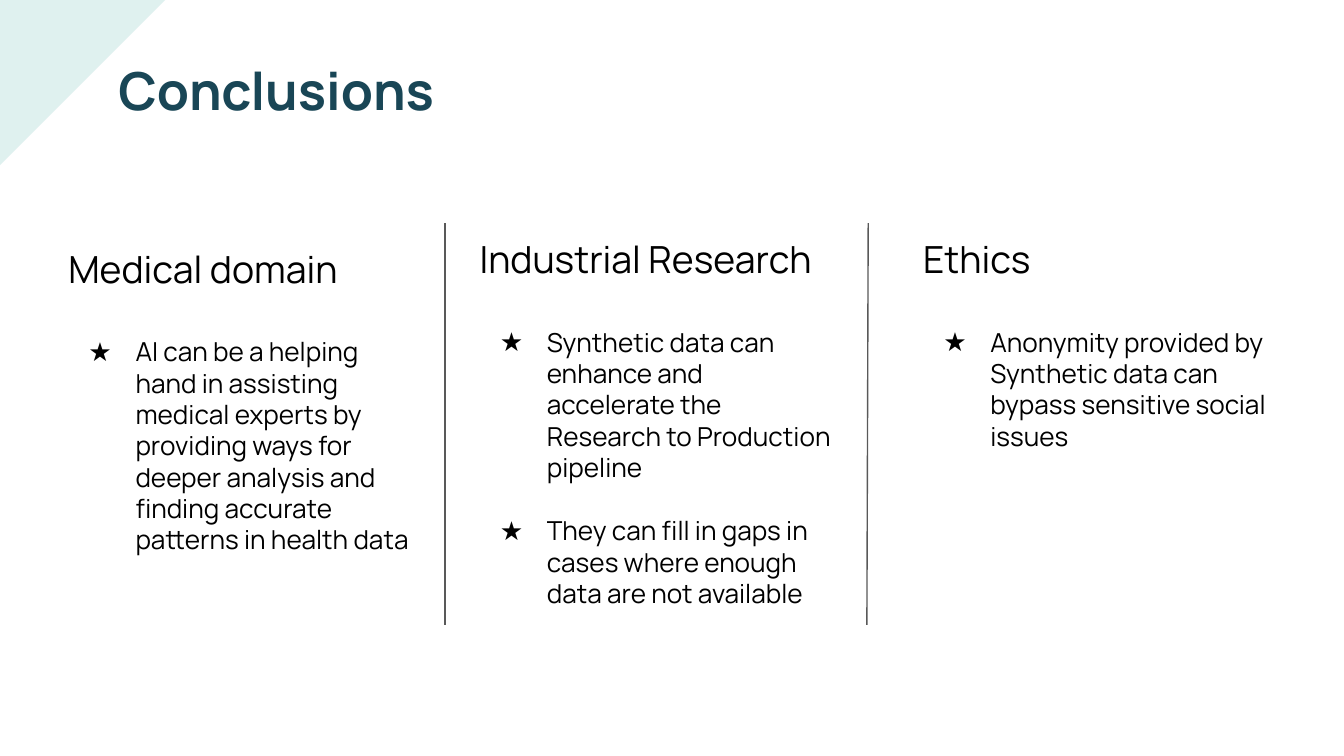
from lxml.etree import SubElement
from pptx import Presentation
from pptx.dml.color import RGBColor
from pptx.enum.shapes import MSO_CONNECTOR, MSO_SHAPE
from pptx.enum.text import MSO_ANCHOR, MSO_AUTO_SIZE, PP_ALIGN
from pptx.oxml.ns import qn
from pptx.util import Inches, Pt

FACE = "Manrope"
MINT = RGBColor(0xDF, 0xF1, 0xEF)
TEAL = RGBColor(0x19, 0x46, 0x56)
BLACK = RGBColor(0, 0, 0)
GRAY = RGBColor(0x59, 0x59, 0x59)

WIDTH = 2.82
COLUMNS = [
    (0.41, 1.73, 2.34, "Medical domain", [
        "AI can be a helping hand in assisting medical experts by providing "
        "ways for deeper analysis and finding accurate patterns in health data",
    ]),
    (3.47, 1.66, 3.27, "Industrial Research", [
        "Synthetic data can enhance and accelerate the Research to "
        "Production pipeline",
        "They can fill in gaps in cases where enough data are not available",
    ]),
    (6.77, 1.66, 2.07, "Ethics", [
        "Anonymity provided by Synthetic data can bypass sensitive social issues",
    ]),
]
RULES = [(3.31, 3.31), (6.46, 6.45)]


def set_font(para, size, color, bold=False):
    font = para.font
    font.name = FACE
    font.size = Pt(size)
    font.bold = bold
    font.color.rgb = color


def set_frame(frame):
    frame.word_wrap = True
    frame.auto_size = MSO_AUTO_SIZE.NONE
    frame.vertical_anchor = MSO_ANCHOR.TOP
    frame.margin_left = frame.margin_right = Inches(0.1)
    frame.margin_top = frame.margin_bottom = Inches(0.1)


def add_star(para):
    props = para._p.get_or_add_pPr()
    props.set("marL", str(Inches(0.5)))
    props.set("indent", str(Inches(-0.35)))
    color = SubElement(props, qn("a:buClr"))
    SubElement(color, qn("a:srgbClr"), val=str(BLACK))
    SubElement(props, qn("a:buFont"), typeface=FACE)
    SubElement(props, qn("a:buChar"), char="★")


def add_corner(slide):
    corner = slide.shapes.add_shape(
        MSO_SHAPE.RIGHT_TRIANGLE, 0, 0, Inches(1.23), Inches(1.23))
    corner.rotation = 90
    corner.shadow.inherit = False
    corner.fill.solid()
    corner.fill.fore_color.rgb = MINT
    corner.line.fill.background()
    tree = slide.shapes._spTree
    tree.remove(corner._element)
    tree.insert(2, corner._element)


def set_title(slide, text):
    title = slide.shapes.title
    title.left, title.top = Inches(0.78), Inches(0.33)
    title.width, title.height = Inches(8.45), Inches(0.63)
    frame = title.text_frame
    frame.text = text
    set_frame(frame)
    para = frame.paragraphs[0]
    para.alignment = PP_ALIGN.LEFT
    set_font(para, 28, TEAL, True)


def add_column(slide, left, top, height, head, points):
    box = slide.shapes.add_textbox(
        Inches(left), Inches(top), Inches(WIDTH), Inches(height))
    frame = box.text_frame
    set_frame(frame)
    para = frame.paragraphs[0]
    para.text = head
    set_font(para, 20, BLACK)
    for index, point in enumerate(points):
        para = frame.add_paragraph()
        para.text = point
        para.space_before = Pt(17 if index else 24)
        add_star(para)
        set_font(para, 14, BLACK)


def add_rule(slide, start, end):
    rule = slide.shapes.add_connector(
        MSO_CONNECTOR.STRAIGHT,
        Inches(start), Inches(1.66), Inches(end), Inches(4.65))
    rule.line.color.rgb = GRAY
    rule.line.width = Pt(0.75)
    SubElement(rule._element.spPr, qn("a:effectLst"))


def main():
    deck = Presentation()
    deck.slide_width = Inches(10)
    deck.slide_height = Inches(10 * 9 / 16)
    slide = deck.slides.add_slide(deck.slide_layouts[5])
    add_corner(slide)
    set_title(slide, "Conclusions")
    for column in COLUMNS:
        add_column(slide, *column)
    for start, end in RULES:
        add_rule(slide, start, end)
    deck.save("out.pptx")


if __name__ == "__main__":
    main()
